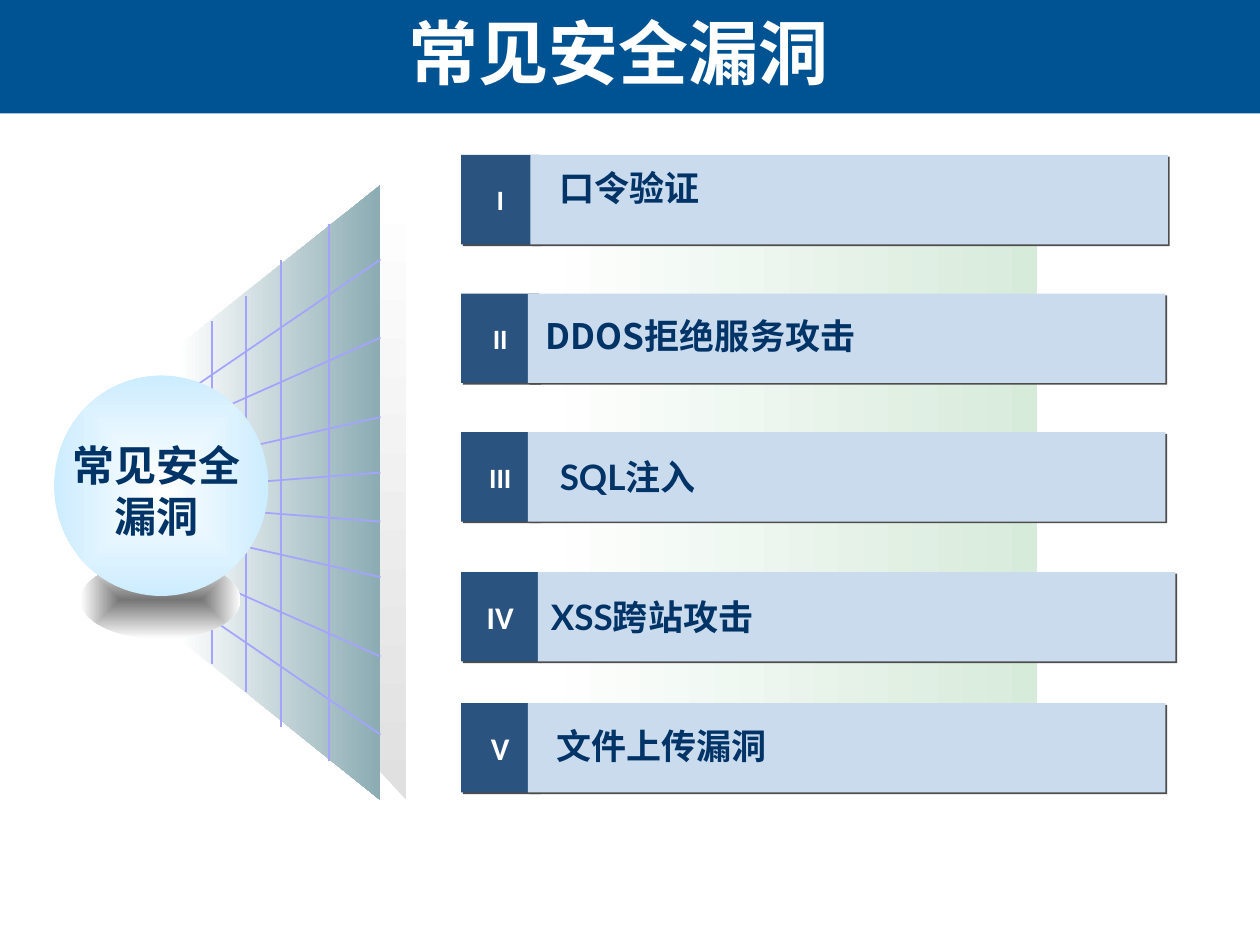
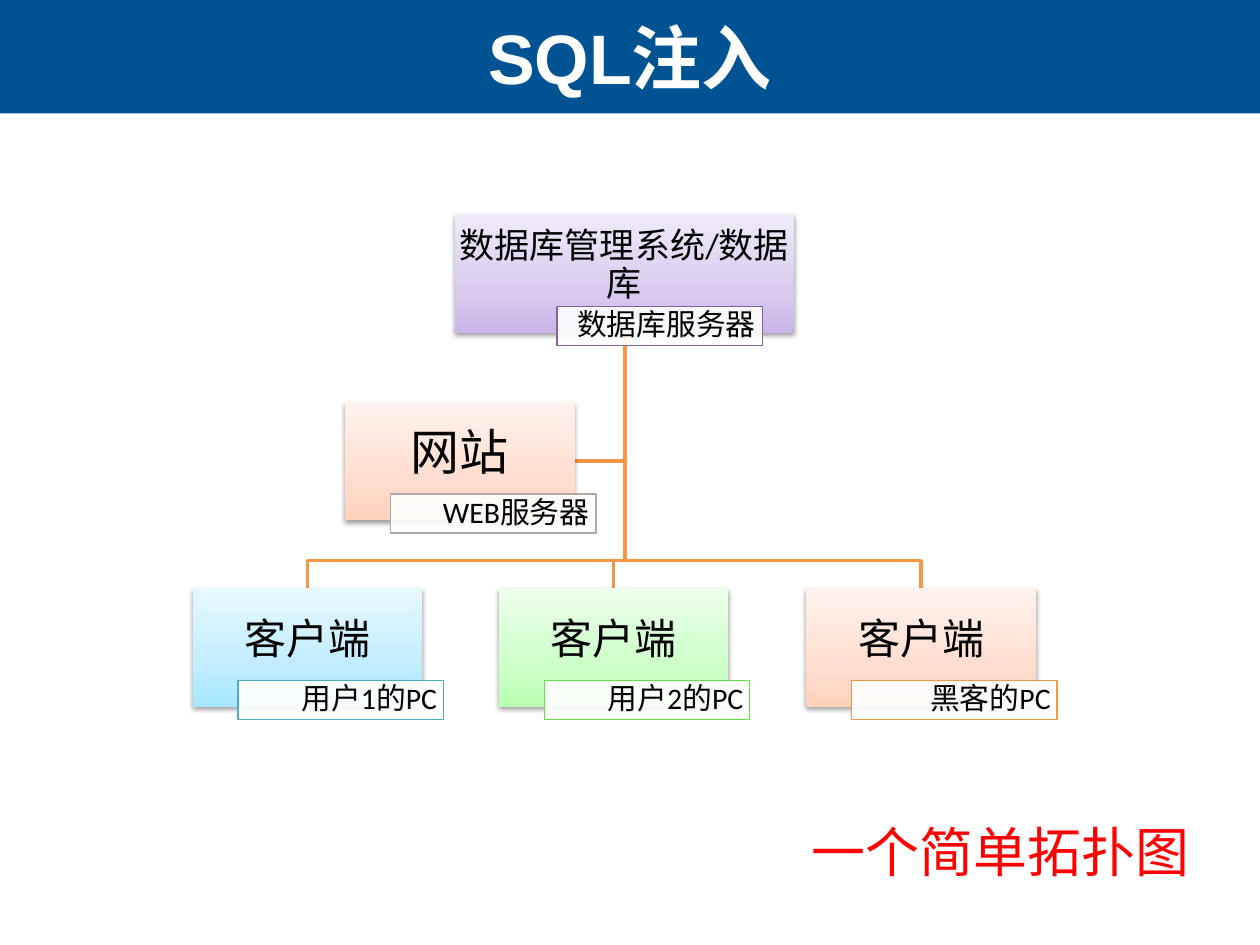
from lxml import etree
from pptx import Presentation
from pptx import util as u
from pptx.dml.color import RGBColor
from pptx.enum import shapes, text
from pptx.oxml import ns


class Theme:
    paper, band, navy = "FFFFFF", "005392", "003366"
    tab, bar, edge = "2A5380", "CADBEE", "4D4D4D"
    grid, link, ink, alert = "A4A4FF", "F79646", "000000", "FF0000"
    panel = [(0, "FFFFFF"), (100, "D7EBDB")]
    side = [(0, "FFFFFF"), (100, "E0E0E0")]
    wall = [(0, "FFFFFF"), (100, "8BACB3")]
    base = [(0, "767676"), (100, "FFFFFF")]
    ball = [(0, "FFFFFF"), (100, "CCECFF")]
    violet = [(0, "C9B5E8"), (35, "D8CBEE"), (100, "F0EAF9")]
    sky = [(0, "A7E6FF"), (35, "C1EDFF"), (100, "E7F8FF")]
    lime = [(0, "B9FFB2"), (35, "CDFFC9"), (100, "ECFFEA")]
    peach = [(0, "FFD2BD"), (35, "FFDED0"), (100, "FFF2ED")]
    hard = (edge, 100, 0, 1.4, 45)
    soft = (ink, 38, 3.1, 1.6, 90)
    asian = "Noto Sans CJK SC"
    title = dict(name="Arial", size=u.Pt(40), bold=True)
    hub = dict(name="Lato", size=u.Pt(24), bold=True)
    item = dict(name="Lato", size=u.Pt(20), bold=True)
    mark = dict(name="Calibri", size=u.Pt(16), bold=True)
    node = dict(name="Calibri")
    tag = dict(name="Calibri", size=u.Pt(17))
    note = dict(name="Calibri", size=u.Pt(30.8))


S = shapes.MSO_SHAPE
LEFT, MID, RIGHT = text.PP_ALIGN.LEFT, text.PP_ALIGN.CENTER, text.PP_ALIGN.RIGHT


def paint(shape, fill=None, line=None, shade=None, turn=0):
    """Fill with a colour or stops; turn is an angle, or None for a path."""
    shape.fill.background()
    if isinstance(fill, str):
        shape.fill.solid()
        shape.fill.fore_color.rgb = RGBColor.from_string(fill)
    elif fill:
        way = (f'<a:lin ang="{turn * 60000}" scaled="1"/>' if turn is not None else
               '<a:path path="shape"><a:fillToRect l="50000" t="50000" r="50000" b="50000"/></a:path>')
        stops = "".join(f'<a:gs pos="{p * 1000}"><a:srgbClr val="{c}"/></a:gs>' for p, c in fill)
        props = shape._element.spPr
        props.replace(props.find(ns.qn("a:noFill")), etree.fromstring(
            f'<a:gradFill {ns.nsdecls("a")} rotWithShape="1"><a:gsLst>{stops}</a:gsLst>{way}</a:gradFill>'))
    if line:
        shape.line.color.rgb = RGBColor.from_string(line[0])
        shape.line.width = u.Pt(line[1])
    else:
        shape.line.fill.background()
    shape.shadow.inherit = False
    if shade:
        tint, alpha, blur, dist, way = shade
        shape._element.spPr.find(ns.qn("a:effectLst")).append(etree.fromstring(
            f'<a:outerShdw {ns.nsdecls("a")} blurRad="{u.Pt(blur)}" dist="{u.Pt(dist)}" '
            f'dir="{way * 60000}" algn="ctr" rotWithShape="0"><a:srgbClr val="{tint}">'
            f'<a:alpha val="{alpha * 1000}"/></a:srgbClr></a:outerShdw>'))
    return shape


def write(shape, words, look, tint, align=MID, anchor=text.MSO_ANCHOR.MIDDLE,
          pad=(0.1, 0.05, 0.1, 0.05), **more):
    frame = shape.text_frame
    frame.word_wrap, frame.vertical_anchor = True, anchor
    for side, gap in zip(("left", "top", "right", "bottom"), pad):
        setattr(frame, "margin_" + side, u.Inches(gap))
    for i, part in enumerate(words.split("\n")):
        para = frame.add_paragraph() if i else frame.paragraphs[0]
        for key, val in dict(alignment=align, **more).items():
            setattr(para, key, val)
        run = para.add_run()
        run.text = part
        for key, val in look.items():
            setattr(run.font, key, val)
        run.font.color.rgb = RGBColor.from_string(tint)
        etree.SubElement(run._r.get_or_add_rPr(), ns.qn("a:ea"), typeface=Theme.asian)


deck = Presentation()
deck.slide_width, deck.slide_height = u.Inches(10), u.Inches(7.5)

# Shared background, band and title
TOP, CORE = text.MSO_ANCHOR.TOP, text.MSO_ANCHOR.MIDDLE
pages = []
for words, at, anchor in [("常见安全漏洞", (3.1, 0.03, 3.62, 0.77), TOP),
                          ("SQL注入", (0, 0, 10, 0.9), CORE)]:
    page = deck.slides.add_slide(deck.slide_layouts[6])
    page.background.fill.solid()
    page.background.fill.fore_color.rgb = RGBColor.from_string(Theme.paper)
    paint(page.shapes.add_shape(S.RECTANGLE, 0, 0, u.Inches(10), u.Inches(0.9)), Theme.band)
    write(page.shapes.add_textbox(*map(u.Inches, at)), words, Theme.title, Theme.paper, anchor=anchor)
    pages.append(page.shapes)
risks, net = pages

# Slide 1: panel behind the list
paint(risks.add_shape(S.RECTANGLE, *map(u.Inches, (4.29, 1.58, 3.94, 4.1))), Theme.panel)

# Numbered list: mark, size, row top, bar left, label, label left, label top, font
rows = [("I", 16, 1.23, 4.21, "口令验证", 4.32, 1.23, Theme.asian),
        ("II", 16, 2.33, 4.19, "DDOS拒绝服务攻击", 4.21, 2.41, Theme.asian),
        ("III", 16, 3.43, 4.19, "SQL注入", 4.32, 3.53, "Lato"),
        ("IV", 18, 4.54, 4.27, "XSS跨站攻击", 4.25, 4.64, "Lato"),
        ("V", 18, 5.58, 4.19, "文件上传漏洞", 4.29, 5.66, "Lato")]
for mark, size, top, left, label, start, high, face in rows:
    for x, wide, fill in [(3.66, 0.62, Theme.tab), (left, 5.06, Theme.bar)]:
        cell = risks.add_shape(S.RECTANGLE, *map(u.Inches, (x, top, wide, 0.71)))
        paint(cell, fill, shade=Theme.hard)
        if fill == Theme.tab:
            write(cell, mark, {**Theme.mark, "size": u.Pt(size)}, Theme.paper)
    name = paint(risks.add_shape(S.ROUNDED_RECTANGLE, *map(u.Inches, (start, high, 4.8, 0.51))))
    write(name, label, {**Theme.item, "name": face}, Theme.navy, LEFT)

# Wall in perspective with its side
for spots, fill, turn in [
        ([(3.22, 6.34), (2.97, 6.07), (2.97, 1.74), (3.22, 1.47)], Theme.side, 90),
        ([(3.02, 6.35), (1.41, 5.06), (1.41, 2.75), (3.02, 1.47)], Theme.wall, 0)]:
    spots = [tuple(map(u.Inches, spot)) for spot in spots]
    form = risks.build_freeform(*spots[0])
    form.add_line_segments(spots[1:], close=True)
    paint(form.convert_to_shape(), fill, turn=turn)

# Grid on the wall: rays mirror about the middle, then uprights
axis = 3.945
rays = [(1.44, 3.14, 2.06), (1.45, 3.38, 2.68), (1.38, 3.68, 3.31), (1.45, 3.87, 3.75)]
lines = [(x, y, 3.02, end) for x, y, end in rays]
lines += [(x, 2 * axis - y, far, 2 * axis - end) for x, y, far, end in lines]
lines += [(x, y, x, end) for x, y, end in
          [(1.68, 2.55, 5.27), (1.95, 2.35, 5.49), (2.23, 2.06, 5.77), (2.61, 1.78, 6.04)]]
for ends in lines:
    wire = risks.add_connector(shapes.MSO_CONNECTOR.STRAIGHT, *map(u.Inches, ends))
    wire.line.color.rgb = RGBColor.from_string(Theme.grid)
    wire.line.width = u.Pt(1)
    etree.SubElement(wire._element.spPr, ns.qn("a:effectLst"))

# Ball, its base and its text
for at, fill in [((0.64, 4.45, 1.27, 0.62), Theme.base), ((0.43, 2.98, 1.7, 1.75), Theme.ball)]:
    paint(risks.add_shape(S.OVAL, *map(u.Inches, at)), fill, turn=None)
hub = risks.add_textbox(*map(u.Inches, (0.48, 3.44, 1.53, 0.91)))
write(hub, "常见安全\n漏洞", Theme.hub, Theme.navy, anchor=TOP)

# Slide 2: links from the database down to the web site and the clients
lefts = (1.53, 3.96, 6.4)
root, rail, floor, half = 4.96, 4.45, 4.67, 0.91
ways = [[(root, 2.65), (root, 3.66), (4.56, 3.66)]]
ways += [[(root, 2.65), (root, rail), (x + half, rail), (x + half, floor)] for x in lefts]
for way in ways:
    spots = [tuple(map(u.Inches, spot)) for spot in way]
    form = net.build_freeform(*spots[0])
    form.add_line_segments(spots[1:], close=False)
    paint(form.convert_to_shape(), line=(Theme.link, 2))

# Nodes: left, top, width, name, size, fill, caption, caption edge, caption inset
nodes = [(3.61, 1.7, 2.69, "数据库管理系统/数据库", 20, Theme.violet, "数据库服务器", "8064A2", 0.81)]
nodes += [(x, floor, 2 * half, "客户端", 24, fill, tag, edge, 0.36) for x, fill, tag, edge in
          zip(lefts, (Theme.sky, Theme.lime, Theme.peach),
              ("用户1的PC", "用户2的PC", "黑客的PC"), ("4BACC6", "60E146", Theme.link))]
nodes += [(2.74, 3.19, 2 * half, "网站", 28, Theme.peach, "WEB服务器", "B3A79F", 0.36)]
for left, top, wide, name, size, fill, tag, edge, inset in nodes:
    node = net.add_shape(S.RECTANGLE, *map(u.Inches, (left, top, wide, 0.94)))
    paint(node, fill, shade=Theme.soft, turn=270)
    write(node, name, {**Theme.node, "size": u.Pt(size)}, Theme.ink,
          pad=(0.02, 0.02, 0.02, 0.13), line_spacing=0.9)
    plate = net.add_shape(S.RECTANGLE, *map(u.Inches, (left + inset, top + 0.73, 1.63, 0.31)))
    paint(plate, Theme.paper, (edge, 0.75))
    tint = plate._element.spPr.find(ns.qn("a:solidFill"))[0]
    etree.SubElement(tint, ns.qn("a:alpha"), val="90000")
    write(plate, tag, Theme.tag, Theme.ink, RIGHT, pad=(0.05, 0.01, 0.05, 0.01), line_spacing=0.9)

# Closing remark
note = net.add_textbox(*map(u.Inches, (2.12, 6.49, 7.42, 0.52)))
write(note, "一个简单拓扑图", Theme.note, Theme.alert, RIGHT)

deck.save("out.pptx")
